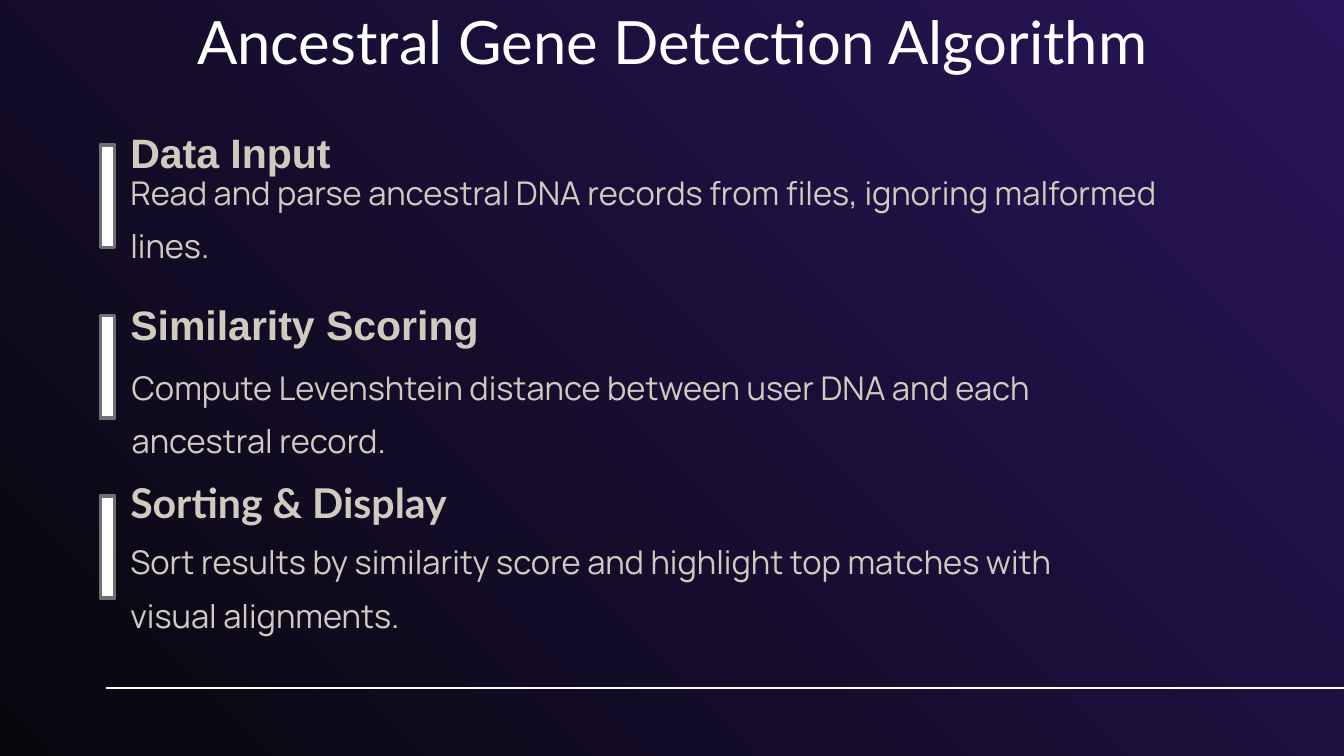
from typing import NamedTuple

from lxml.etree import SubElement
from pptx import Presentation
from pptx.dml.color import RGBColor
from pptx.enum.shapes import MSO_CONNECTOR, MSO_SHAPE
from pptx.enum.text import MSO_ANCHOR, MSO_AUTO_SIZE, PP_ALIGN
from pptx.oxml.ns import qn
from pptx.slide import Slide
from pptx.text.text import TextFrame
from pptx.util import Inches, Pt

WHITE, SAND, GREY = "FFFFFF", "CFCBBF", "707070"
LEFT = 0.97


class Step(NamedTuple):
    head: str
    font: str
    top: float
    body: str
    body_left: float
    body_top: float
    width: float
    bar_top: float


STEPS = [
    Step("Data Input", "Arial", 0.93,
         "Read and parse ancestral DNA records from files, ignoring malformed lines.",
         LEFT, 1.18, 7.71, 1.24),
    Step("Similarity Scoring", "Arial", 2.21,
         "Compute Levenshtein distance between user DNA and each ancestral record.",
         0.98, 2.63, 7.33, 2.51),
    Step("Sorting & Display", "Lato", 3.54,
         "Sort results by similarity score and highlight top matches with visual alignments.",
         LEFT, 3.93, 6.96, 3.85),
]


def color(code: str) -> RGBColor:
    return RGBColor.from_string(code)


def add_run(frame: TextFrame, text: str, font: str, size: float,
            code: str, bold: bool = False) -> None:
    run = frame.paragraphs[0].add_run()
    run.text = text
    run.font.name = font
    run.font.size = Pt(size)
    run.font.bold = bold
    run.font.color.rgb = color(code)


def add_box(slide: Slide, left: float, top: float, width: float, height: float,
            lead: float, wrap: bool) -> TextFrame:
    """Add a text box without insets, with lines spaced lead points apart."""
    box = slide.shapes.add_textbox(
        Inches(left), Inches(top), Inches(width), Inches(height))
    frame = box.text_frame
    frame.margin_left = frame.margin_right = 0
    frame.margin_top = frame.margin_bottom = 0
    frame.word_wrap = wrap
    frame.paragraphs[0].line_spacing = Pt(lead)
    return frame


def add_bar(slide: Slide, top: float) -> None:
    """Add a minus sign turned upright."""
    bar = slide.shapes.add_shape(
        MSO_SHAPE.MATH_MINUS, Inches(0.28), Inches(top), Inches(1.04), Inches(0.44))
    bar.rotation = 270
    bar.shadow.inherit = False
    bar.fill.solid()
    bar.fill.fore_color.rgb = color(WHITE)
    bar.line.color.rgb = color(GREY)
    bar.line.width = Pt(2)


def add_step(slide: Slide, step: Step) -> None:
    head = add_box(slide, LEFT, step.top, 3.1, 0.39, 27.5, False)
    add_run(head, step.head, step.font, 22, SAND, True)
    body = add_box(slide, step.body_left, step.body_top, step.width, 0.79, 28.5, True)
    add_run(body, step.body, "Manrope", 17.5, SAND)


def set_title(slide: Slide, text: str) -> None:
    title = slide.shapes.title
    title.left, title.top = Inches(0.79), Inches(0.24)
    title.width, title.height = Inches(8.43), Inches(0.62)
    frame = title.text_frame
    frame.auto_size = MSO_AUTO_SIZE.NONE
    frame.word_wrap = True
    frame.vertical_anchor = MSO_ANCHOR.BOTTOM
    frame.margin_top, frame.margin_bottom = 0, Inches(0.29)
    frame.paragraphs[0].alignment = PP_ALIGN.CENTER
    add_run(frame, text, "Lato", 32, WHITE)


def add_rule(slide: Slide) -> None:
    rule = slide.shapes.add_connector(
        MSO_CONNECTOR.STRAIGHT, Inches(10.06), Inches(5.12), Inches(0.79), Inches(5.12))
    rule.line.color.rgb = color(WHITE)
    rule.line.width = Pt(0.75)
    SubElement(rule._element.spPr, qn("a:effectLst"))


def set_back(slide: Slide) -> None:
    fill = slide.background.fill
    fill.gradient()
    fill.gradient_angle = 45
    for stop, code in zip(fill.gradient_stops, ("08070D", "29155A")):
        stop.color.rgb = color(code)


def main() -> None:
    deck = Presentation()
    deck.slide_width = Inches(10)
    deck.slide_height = deck.slide_width * 9 // 16
    slide = deck.slides.add_slide(deck.slide_layouts[5])
    set_back(slide)
    add_rule(slide)
    set_title(slide, "Ancestral Gene Detection Algorithm")
    for step in STEPS:
        add_step(slide, step)
    for step in reversed(STEPS):
        add_bar(slide, step.bar_top)
    deck.save("out.pptx")


if __name__ == "__main__":
    main()
